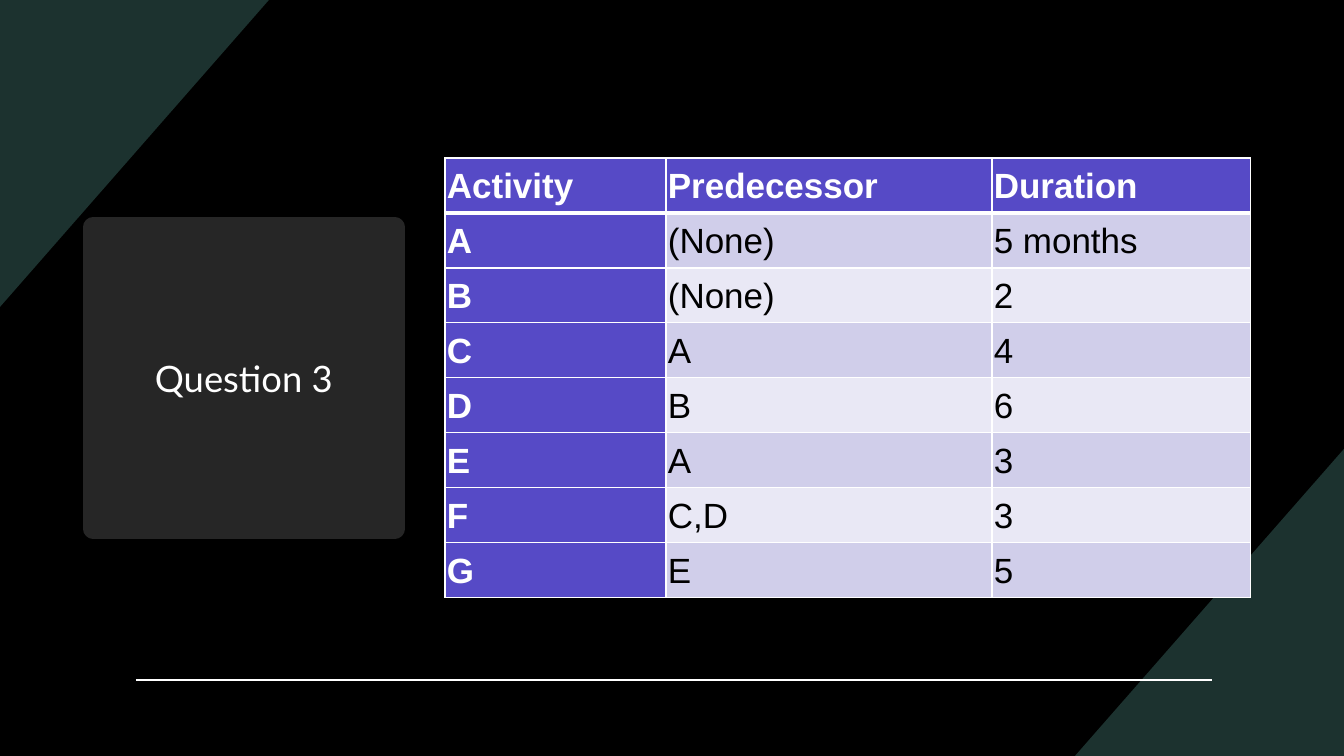
from dataclasses import dataclass

from lxml.etree import SubElement
from pptx import Presentation
from pptx.dml.color import RGBColor
from pptx.enum.shapes import MSO_CONNECTOR, MSO_SHAPE
from pptx.enum.text import MSO_ANCHOR, PP_ALIGN
from pptx.oxml.ns import qn
from pptx.util import Pt

PX = 914400 / 100.8


@dataclass
class Theme:
    """Colours, fonts and type sizes of the slide."""
    black = RGBColor.from_string("000000")
    white = RGBColor.from_string("FFFFFF")
    corner = RGBColor.from_string("1C322F")
    card = RGBColor.from_string("262626")
    header = RGBColor.from_string("564AC6")
    bands = (RGBColor.from_string("D0CEEA"), RGBColor.from_string("E9E8F5"))
    title_font, title_size = "Lato", Pt(26)
    table_font, table_size = "Arial", Pt(25)


def px(n):
    """Turn pixels into EMU."""
    return round(n * PX)


def add_border(cell, side, width):
    """Draw one white cell border; side is L, R, T or B."""
    ln = SubElement(cell._tc.get_or_add_tcPr(), qn(f"a:ln{side}"), w=str(Pt(width)))
    fill = SubElement(ln, qn("a:solidFill"))
    SubElement(fill, qn("a:srgbClr"), val=str(theme.white))


theme = Theme()
prs = Presentation()
prs.slide_width, prs.slide_height = px(1344), px(756)
s = prs.slides.add_slide(prs.slide_layouts[6])
s.background.fill.solid()
s.background.fill.fore_color.rgb = theme.black

# Corner triangles
corners = [
    [(1344, 449), (1344, 756), (1075, 756)],
    [(0, 307), (0, 0), (269, 0)],
]
for start, *rest in corners:
    fb = s.shapes.build_freeform(*start, scale=PX)
    fb.add_line_segments(rest, close=True)
    sp = fb.convert_to_shape()
    sp.shadow.inherit = False
    sp.fill.solid()
    sp.fill.fore_color.rgb = theme.corner
    sp.line.fill.background()

# Footer rule
rule = s.shapes.add_connector(MSO_CONNECTOR.STRAIGHT, px(136), px(680), px(1212), px(680))
rule.line.color.rgb = theme.white
rule.line.width = Pt(1)
SubElement(rule._element.spPr, qn("a:effectLst"))

# Title card: the thick round-joined outline softens its corners
card = s.shapes.add_shape(MSO_SHAPE.RECTANGLE, px(93), px(227), px(302), px(302))
card.shadow.inherit = False
card.fill.solid()
card.fill.fore_color.rgb = theme.card
card.line.color.rgb = theme.card
card.line.width = Pt(13.75)
SubElement(card.line._get_or_add_ln(), qn("a:round"))
tf = card.text_frame
tf.word_wrap = True
tf.vertical_anchor = MSO_ANCHOR.MIDDLE
p = tf.paragraphs[0]
p.text = "Question 3"
p.alignment = PP_ALIGN.CENTER
p.font.name, p.font.size = theme.title_font, theme.title_size
p.font.color.rgb = theme.white

# Activity table
rows = [
    ("Activity", "Predecessor", "Duration"),
    ("A", "(None)", "5 months"),
    ("B", "(None)", "2"),
    ("C", "A", "4"),
    ("D", "B", "6"),
    ("E", "A", "3"),
    ("F", "C,D", "3"),
    ("G", "E", "5"),
]
widths = [221, 326, 259]
row_height = 55
table = s.shapes.add_table(
    len(rows), len(widths), px(445), px(158),
    px(sum(widths)), px(row_height * len(rows))).table
for column, width in zip(table.columns, widths):
    column.width = px(width)

for i, row in enumerate(rows):
    table.rows[i].height = px(row_height)
    for j, text in enumerate(row):
        cell = table.cell(i, j)
        is_header = i == 0 or j == 0
        cell.margin_left = cell.margin_right = px(2)
        cell.margin_top = cell.margin_bottom = px(2)
        cell.vertical_anchor = MSO_ANCHOR.MIDDLE
        add_border(cell, "L", 1)
        add_border(cell, "R", 1)
        add_border(cell, "T", 3 if i == 1 else 1)
        add_border(cell, "B", 3 if i == 0 else 1)
        cell.fill.solid()
        cell.fill.fore_color.rgb = theme.header if is_header else theme.bands[(i - 1) % 2]
        p = cell.text_frame.paragraphs[0]
        p.text = text
        p.line_spacing = 1.07
        p.font.name, p.font.size = theme.table_font, theme.table_size
        p.font.bold = is_header
        p.font.color.rgb = theme.white if is_header else theme.black

prs.save("out.pptx")
